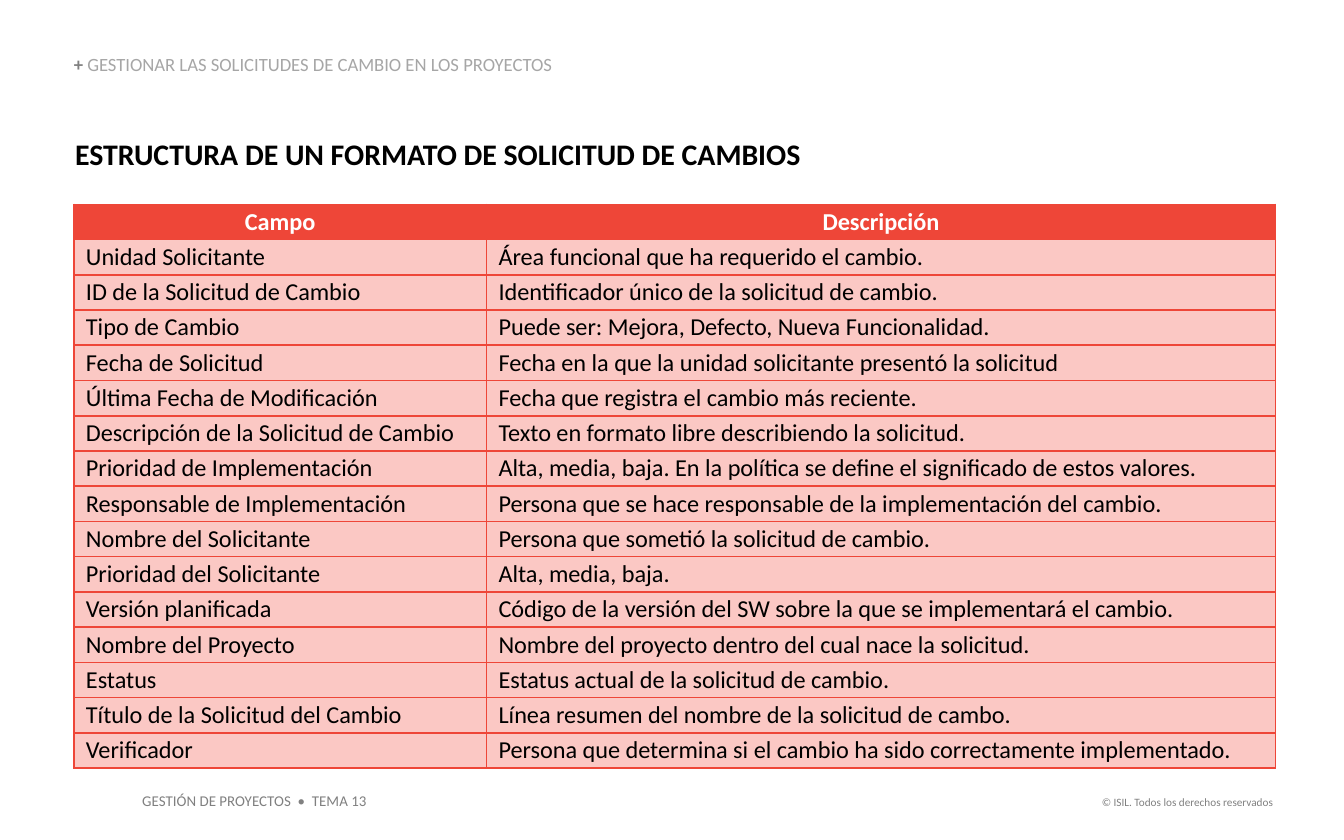
from lxml.etree import SubElement
from pptx import Presentation
from pptx.dml.color import RGBColor
from pptx.enum.text import MSO_ANCHOR as Anchor, PP_ALIGN as Align
from pptx.oxml.ns import qn
from pptx.util import Inches, Pt

COLORS = {
    "red": "EE4638",
    "pink": "FBC8C4",
    "white": "FFFFFF",
    "black": "000000",
    "gray": "808080",
    "light_gray": "A6A6A6",
}
FIELDS = [
    ("Campo", "Descripción"),
    ("Unidad Solicitante", "Área funcional que ha requerido el cambio."),
    ("ID de la Solicitud de Cambio", "Identificador único de la solicitud de cambio."),
    ("Tipo de Cambio", "Puede ser: Mejora, Defecto, Nueva Funcionalidad."),
    ("Fecha de Solicitud", "Fecha en la que la unidad solicitante presentó la solicitud"),
    ("Última Fecha de Modificación", "Fecha que registra el cambio más reciente."),
    ("Descripción de la Solicitud de Cambio", "Texto en formato libre describiendo la solicitud."),
    ("Prioridad de Implementación",
     "Alta, media, baja. En la política se define el significado de estos valores."),
    ("Responsable de Implementación",
     "Persona que se hace responsable de la implementación del cambio."),
    ("Nombre del Solicitante", "Persona que sometió la solicitud de cambio."),
    ("Prioridad del Solicitante", "Alta, media, baja."),
    ("Versión planificada", "Código de la versión del SW sobre la que se implementará el cambio."),
    ("Nombre del Proyecto", "Nombre del proyecto dentro del cual nace la solicitud."),
    ("Estatus", "Estatus actual de la solicitud de cambio."),
    ("Título de la Solicitud del Cambio", "Línea resumen del nombre de la solicitud de cambo."),
    ("Verificador", "Persona que determina si el cambio ha sido correctamente implementado."),
]


def add_text(text_frame, text, size, color="black", bold=False, align=Align.LEFT):
    """Append a formatted run to the first paragraph of the text frame."""
    paragraph = text_frame.paragraphs[0]
    paragraph.alignment = align
    run = paragraph.add_run()
    run.text = text
    run.font.name = "Calibri"
    run.font.size = Pt(size)
    run.font.bold = bold
    run.font.color.rgb = RGBColor.from_string(COLORS[color])


def add_box(left, top, width, height, inset=True, wrap=True):
    """Add an empty text box and return its text frame."""
    box = slide.shapes.add_textbox(Inches(left), Inches(top), Inches(width), Inches(height))
    text_frame = box.text_frame
    text_frame.word_wrap = wrap
    if not inset:
        text_frame.margin_left = text_frame.margin_right = 0
        text_frame.margin_top = text_frame.margin_bottom = 0
    return text_frame


presentation = Presentation()
presentation.slide_width = Inches(10)
presentation.slide_height = Inches(6.25)
slide = presentation.slides.add_slide(presentation.slide_layouts[6])

# Footer
copyright_line = add_box(7.91, 5.87, 1.66, 0.2, wrap=False)
add_text(copyright_line, "© ISIL. Todos los derechos reservados", size=6, color="gray",
         align=Align.RIGHT)
course = add_box(0.96, 5.84, 1.87, 0.24, wrap=False)
add_text(course, "GESTIÓN DE PROYECTOS  •  TEMA 13", size=8, color="gray")

# Headings
title = add_box(0.56, 1.01, 6.92, 0.27, inset=False)
add_text(title, "ESTRUCTURA DE UN FORMATO DE SOLICITUD DE CAMBIOS", size=16, bold=True)
section = add_box(0.55, 0.41, 3.92, 0.15, inset=False)
section.vertical_anchor = Anchor.BOTTOM
section.paragraphs[0].line_spacing = 0.9
add_text(section, "+ ", size=10, color="gray", bold=True)
add_text(section, "GESTIONAR LAS SOLICITUDES DE CAMBIO EN LOS PROYECTOS", size=10,
         color="light_gray")

# Table of fields
table = slide.shapes.add_table(len(FIELDS), 2, Inches(0.55), Inches(1.52),
                               Inches(8.94), Inches(4.2)).table
table.columns[0].width = Inches(3.07)
table.columns[1].width = Inches(5.87)

for row_index, field in enumerate(FIELDS):
    is_header = row_index == 0
    table.rows[row_index].height = Inches(4.2 / len(FIELDS))
    for column_index, text in enumerate(field):
        cell = table.cell(row_index, column_index)
        cell.margin_left = Inches(0 if is_header else 0.09)
        cell.margin_right = cell.margin_top = cell.margin_bottom = 0
        cell.vertical_anchor = Anchor.MIDDLE
        add_text(cell.text_frame, text, size=13, bold=is_header,
                 color="white" if is_header else "black",
                 align=Align.CENTER if is_header else Align.LEFT)

        # Borders come before the fill in the cell properties
        properties = cell._tc.get_or_add_tcPr()
        for side in ("a:lnL", "a:lnR", "a:lnT", "a:lnB"):
            line = SubElement(properties, qn(side), w=str(Pt(1)))
            line_fill = SubElement(line, qn("a:solidFill"))
            SubElement(line_fill, qn("a:srgbClr"), val=COLORS["red"])
        cell.fill.solid()
        cell.fill.fore_color.rgb = RGBColor.from_string(COLORS["red" if is_header else "pink"])

presentation.save("out.pptx")
